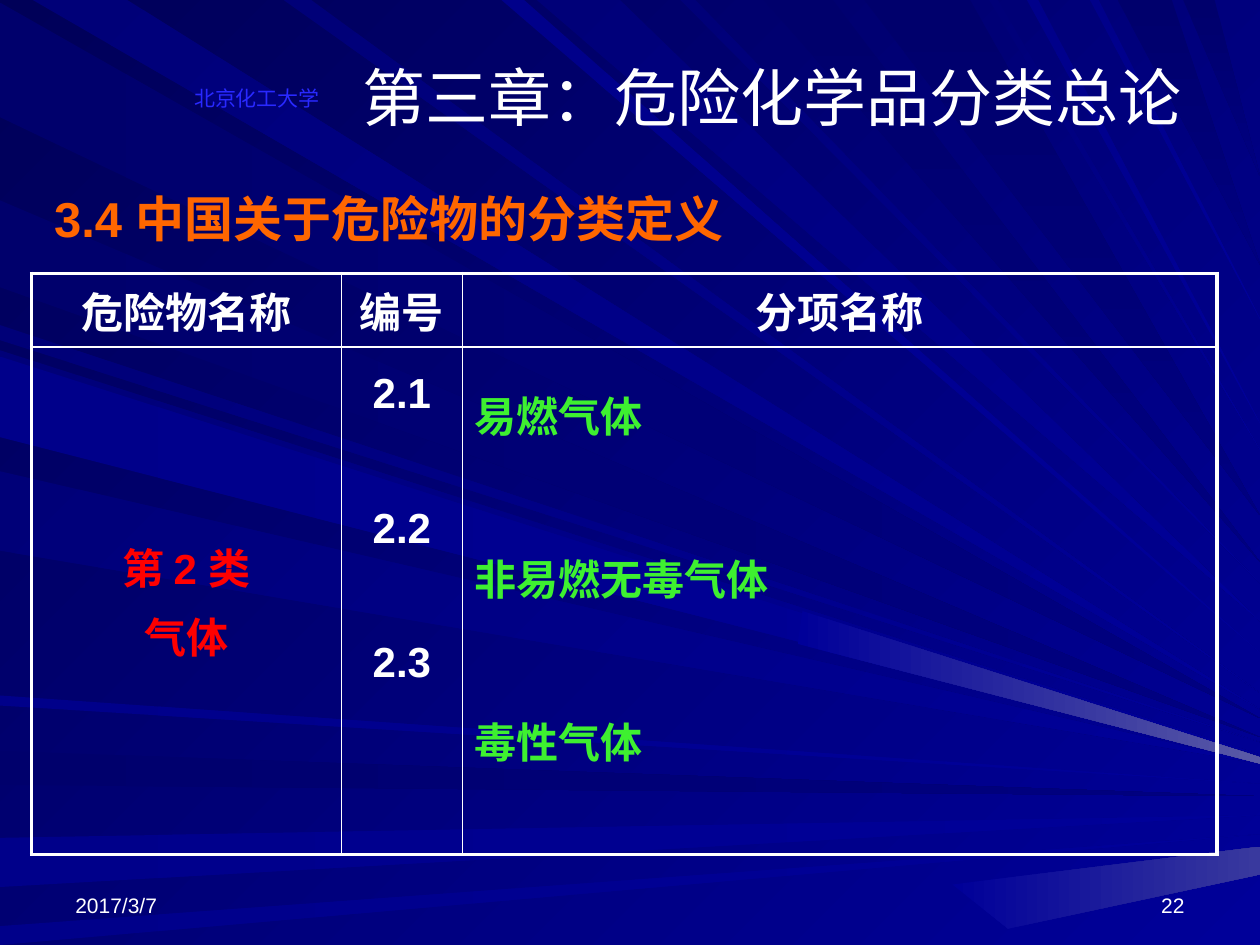
from lxml import etree
from pptx import Presentation
from pptx.dml.color import RGBColor
from pptx.enum.text import MSO_ANCHOR, MSO_AUTO_SIZE, PP_ALIGN
from pptx.oxml.ns import qn
from pptx.util import Pt

PX = 9144
WIDE, HIGH = 1000, 750
LEFT, MID, RIGHT = PP_ALIGN.LEFT, PP_ALIGN.CENTER, PP_ALIGN.RIGHT
TOP, CENTER, BOTTOM = MSO_ANCHOR.TOP, MSO_ANCHOR.MIDDLE, MSO_ANCHOR.BOTTOM
NO_FIT = MSO_AUTO_SIZE.NONE

WHITE = RGBColor(0xFF, 0xFF, 0xFF)
ORANGE = RGBColor(0xFF, 0x66, 0x00)
RED = RGBColor(0xFF, 0x00, 0x00)
GREEN = RGBColor(0x3E, 0xF0, 0x30)
BLUE = RGBColor(0x29, 0x29, 0xFF)
NIGHT = RGBColor(0x00, 0x00, 0x58)
DARK = RGBColor(0x00, 0x00, 0x6C)
DUSK = RGBColor(0x00, 0x00, 0x78)
DEEP = RGBColor(0x00, 0x00, 0x80)
PALE = RGBColor(0x00, 0x00, 0x8A)
ROYAL = RGBColor(0x00, 0x00, 0x99)
HAZE = RGBColor(0x39, 0x39, 0x9E)
GLOW = RGBColor(0x5A, 0x5A, 0xA6)
THIN, THICK = 1, 2.25

SIDE_RAYS = [
    (DARK, DEEP, 0, [(2, 93, 570), (596, 623, 632), (159, 228, 585)]),
    (DUSK, ROYAL, 45, [(258, 270, 589), (278, 342, 599), (374, 437, 606)]),
    (PALE, ROYAL, 0, [(665, 704, 647), (735, 750, 662), (552, 560, 622), (283, 347, 603)]),
]
TOP_RAYS = [
    (DARK, DEEP, 90, [(606, 661, 446), (887, 930, 210), (939, 964, 140), (686, 770, 409)]),
    (DUSK, ROYAL, 45, [(26, 101, 563), (426, 492, 493), (540, 552, 463),
                       (225, 247, 550), (785, 792, 357)]),
    (PALE, ROYAL, 45, [(398, 416, 518), (815, 824, 336), (865, 872, 253)]),
]


def blend(fill, start, end, turn):
    fill.gradient()
    fill.gradient_angle = -turn % 360
    for stop, color in zip(fill.gradient_stops, (start, end)):
        stop.color.rgb = color


def add_ray(group, dots, start, end, turn):
    pen = group.shapes.build_freeform(*dots[0], scale=PX)
    pen.add_line_segments(dots[1:], close=True)
    ray = pen.convert_to_shape()
    ray.shadow.inherit = False
    ray.line.fill.background()
    blend(ray.fill, start, end, turn)


def draw_rays(slide):
    group = slide.shapes.add_group_shape()
    for fans, on_side in ((SIDE_RAYS, True), (TOP_RAYS, False)):
        for start, end, turn, rays in fans:
            for near, far, tip in rays:
                base = [(0, n) if on_side else (n, 0) for n in (near, far)]
                add_ray(group, base + [(WIDE, tip)], start, end, turn)
    add_ray(group, [(756, 702), (800, 737), (WIDE, 694), (WIDE, 672)], ROYAL, HAZE, 0)
    add_ray(group, [(633, 511), (637, 485), (WIDE, 601), (WIDE, 606)], ROYAL, GLOW, 0)
    slide.shapes.element.insert(2, group.element)


def write(frame, text, size=24, color=WHITE, bold=False, align=LEFT, gap=0, line=1.0):
    for i, part in enumerate(text.split("\n")):
        para = frame.add_paragraph() if i else frame.paragraphs[0]
        para.alignment = align
        para.line_spacing = line
        para.space_before = Pt(gap if i else 0)
        run = para.add_run()
        run.text = part
        run.font.name = "Arial"
        run.font.size = Pt(size)
        run.font.bold = bold
        run.font.color.rgb = color


def place(shape, box, anchor):
    shape.left, shape.top, shape.width, shape.height = (n * PX for n in box)
    frame = shape.text_frame
    frame.word_wrap = True
    frame.auto_size = NO_FIT
    frame.vertical_anchor = anchor
    return frame


def add_note(slide, box, text, **style):
    shape = slide.shapes.add_textbox(0, 0, 0, 0)
    write(place(shape, box, BOTTOM), text, size=12, **style)


def add_head(slide, text):
    frame = place(slide.placeholders[1], (33, 150, 592, 42), TOP)
    write(frame, text, size=28, color=ORANGE, bold=True, line=0.9)
    props = frame.paragraphs[0]._p.get_or_add_pPr()
    props.set("marL", str(38 * PX))
    props.set("indent", str(-38 * PX))
    etree.SubElement(props, qn("a:buNone"))


def edge(cell, sides):
    props = cell._tc.get_or_add_tcPr()
    for i, (side, width) in enumerate(sides.items()):
        line = etree.Element(qn("a:ln" + side), w=str(Pt(width)))
        fill = etree.SubElement(line, qn("a:solidFill"))
        etree.SubElement(fill, qn("a:srgbClr"), val=str(WHITE))
        props.insert(i, line)


def add_grid(slide):
    cols, rows = (246, 96, 599), (50, 403)
    table = slide.shapes.add_table(2, 3, 25 * PX, 217 * PX, sum(cols) * PX, sum(rows) * PX).table
    table.first_row = table.horz_banding = False
    for col, width in zip(table.columns, cols):
        col.width = width * PX
    for row, height in zip(table.rows, rows):
        row.height = height * PX
    head = dict(align=MID)
    cells = [
        [("危险物名称", CENTER, head), ("编号", CENTER, head), ("分项名称", CENTER, head)],
        [("第 2 类\n气体", CENTER, dict(color=RED, align=MID, gap=5)),
         ("2.1\n2.2\n2.3", TOP, dict(align=MID, gap=50)),
         ("易燃气体\n非易燃无毒气体\n毒性气体", TOP, dict(color=GREEN, gap=41, line=1.5))],
    ]
    for r, line in enumerate(cells):
        for c, (text, anchor, style) in enumerate(line):
            cell = table.cell(r, c)
            cell.fill.background()
            cell.vertical_anchor = anchor
            write(cell.text_frame, text, bold=True, **style)
            edge(cell, {"L": THIN if c else THICK, "R": THICK if c == 2 else THIN,
                        "T": THIN if r else THICK, "B": THICK if r else THIN})
    table.cell(1, 1).margin_top = 19 * PX


def main():
    deck = Presentation()
    deck.slide_width, deck.slide_height = WIDE * PX, HIGH * PX
    slide = deck.slides.add_slide(deck.slide_layouts[1])
    blend(slide.background.fill, NIGHT, ROYAL, 45)
    draw_rays(slide)
    add_note(slide, (50, 683, 233, 50), "2017/3/7")
    add_note(slide, (717, 683, 233, 50), "22", align=RIGHT)
    add_head(slide, "3.4 中国关于危险物的分类定义")
    add_grid(slide)
    add_note(slide, (133, 58, 142, 35), "北京化工大学", color=BLUE, align=MID)
    title = place(slide.shapes.title, (275, 25, 675, 103), CENTER)
    write(title, "第三章：危险化学品分类总论", size=36, align=MID)
    deck.save("out.pptx")


if __name__ == "__main__":
    main()
